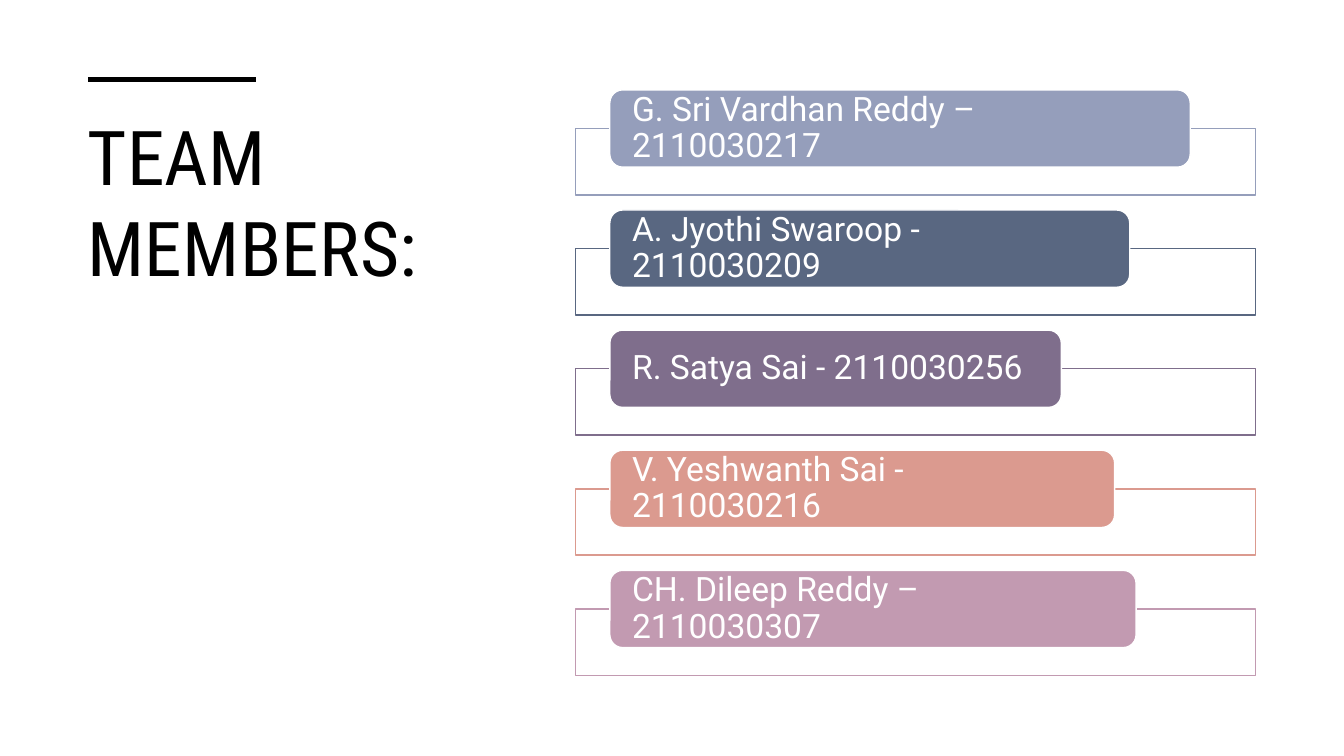
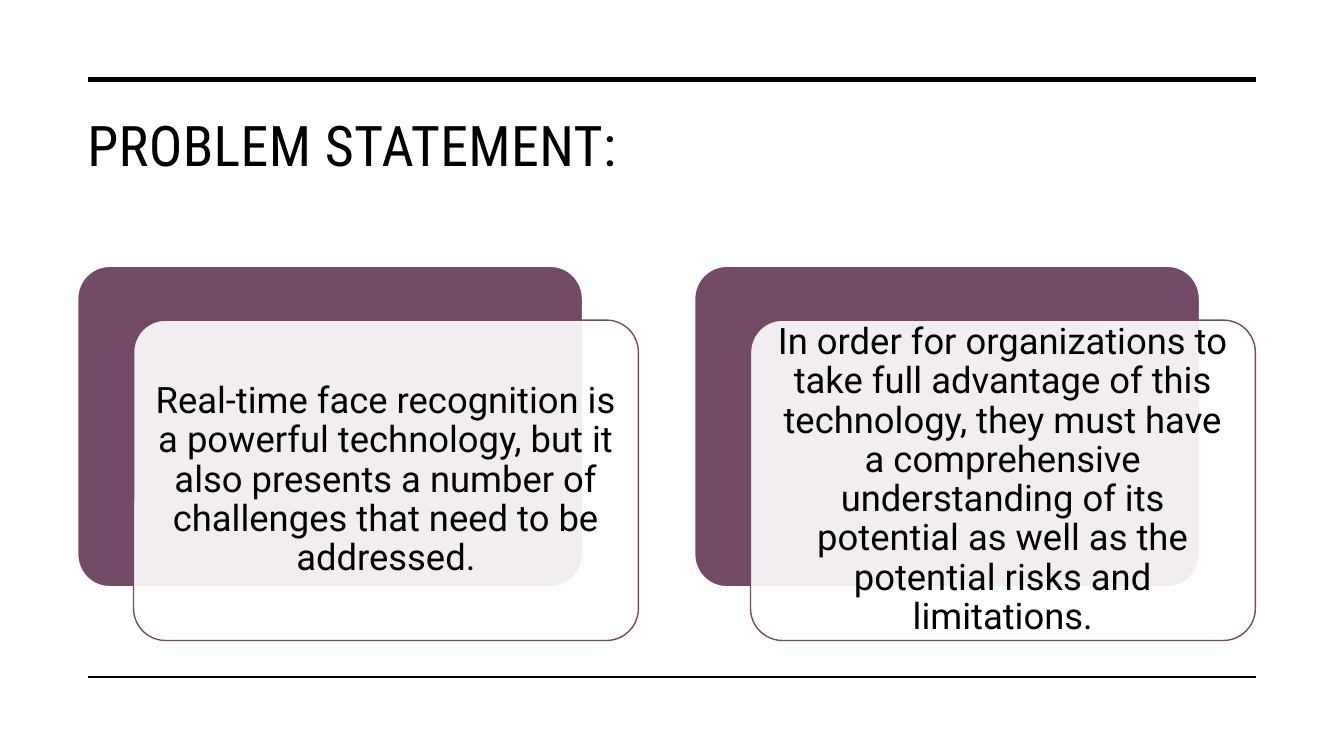
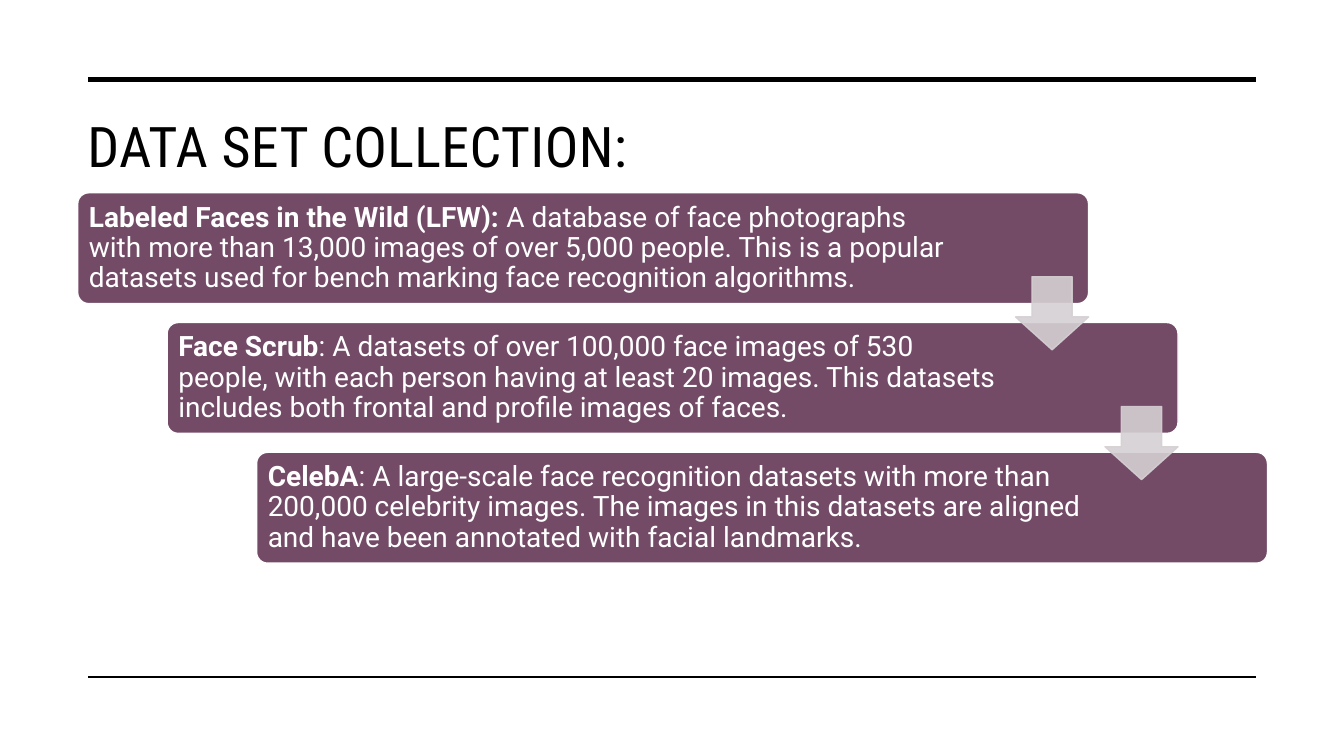
from dataclasses import dataclass
from typing import Optional

from lxml.etree import SubElement
from pptx import Presentation
from pptx.dml.color import RGBColor
from pptx.dml.fill import FillFormat
from pptx.enum.shapes import MSO_CONNECTOR, MSO_SHAPE
from pptx.enum.text import MSO_ANCHOR, MSO_AUTO_SIZE, PP_ALIGN
from pptx.oxml.ns import qn
from pptx.shapes.autoshape import Shape
from pptx.slide import Slide
from pptx.text.text import TextFrame
from pptx.util import Emu, Inches, Pt

COLUMNS, ROWS = 32, 18
CELL = Inches(7.5) / ROWS
TITLE_ONLY = 5


@dataclass(frozen=True)
class Theme:
    """Colours, fonts and type sizes shared by all slides."""
    ink: str = "000000"
    paper: str = "FFFFFF"
    plum: str = "734B67"
    arrow: str = "D5D0D3"
    title_font: str = "Roboto Condensed"
    body_font: str = "Roboto"
    cover_title: float = 54
    title: float = 40
    statement: float = 26
    member: float = 24
    dataset: float = 20
    title_tracking: int = 30
    line_spacing: float = 0.9
    outline: float = 1
    top_rule: float = 3.5
    opacity: int = 90


THEME = Theme()


@dataclass(frozen=True)
class Box:
    """A rectangle measured in grid columns and rows."""
    left: float
    top: float
    width: float
    height: float

    def moved(self, columns: float, rows: float) -> "Box":
        """Return the same box shifted across the grid."""
        return Box(self.left + columns, self.top + rows, self.width, self.height)


@dataclass(frozen=True)
class Member:
    """A team member's label with its colour and pill width."""
    label: str
    color: str
    width: float


@dataclass(frozen=True)
class Dataset:
    """A data set's bold name, description and right inset."""
    name: str
    description: str
    right_inset: float


RULE_LEFT, RULE_RIGHT = 2.1, 29.9
TOP_RULE, BOTTOM_RULE = 1.9, 16.12

MEMBERS = (
    Member("G. Sri Vardhan Reddy – 2110030217", "959EBB", 13.82),
    Member("A. Jyothi Swaroop - 2110030209", "596781", 12.38),
    Member("R. Satya Sai - 2110030256", "7F6E8C", 10.75),
    Member("V. Yeshwanth Sai - 2110030216", "DB9A8F", 12.02),
    Member("CH. Dileep Reddy – 2110030307", "C29AB1", 12.53),
)
STATEMENTS = (
    "Real-time face recognition is a powerful technology, but it also presents "
    "a number of challenges that need to be addressed.",
    "In order for organizations to take full advantage of this technology, they "
    "must have a comprehensive understanding of its potential as well as the "
    "potential risks and limitations.",
)
DATASETS = (
    Dataset("Labeled Faces in the Wild (LFW): ",
            "A database of face photographs with more than 13,000 images of over "
            "5,000 people. This is a popular datasets used for bench marking face "
            "recognition algorithms.", 2.9),
    Dataset("Face Scrub",
            ": A datasets of over 100,000 face images of 530 people, with each "
            "person having at least 20 images. This datasets includes both frontal "
            "and profile images of faces.", 4.06),
    Dataset("CelebA",
            ": A large-scale face recognition datasets with more than 200,000 "
            "celebrity images. The images in this datasets are aligned and have "
            "been annotated with facial landmarks.", 4.06),
)


def cells(count: float) -> Emu:
    """Convert grid cells to a length."""
    return Emu(round(count * CELL))


def paint(fill: FillFormat, color: str, opacity: int = 100) -> None:
    """Apply a solid colour, optionally translucent."""
    fill.solid()
    fill.fore_color.rgb = RGBColor.from_string(color)
    if opacity < 100:
        for rgb in fill._xPr.iter(qn("a:srgbClr")):
            SubElement(rgb, qn("a:alpha")).set("val", str(opacity * 1000))


def place(shape: Shape, box: Box) -> None:
    """Move a shape to its grid box."""
    shape.left, shape.top = cells(box.left), cells(box.top)
    shape.width, shape.height = cells(box.width), cells(box.height)


def write(frame: TextFrame, *pieces: tuple[str, bool], size: float, color: str,
          font: str = THEME.body_font, spacing: float = THEME.line_spacing,
          align: PP_ALIGN = PP_ALIGN.LEFT, anchor: MSO_ANCHOR = MSO_ANCHOR.MIDDLE,
          insets: tuple[float, float, float, float] = (0, 0, 0, 0),
          tracking: Optional[int] = None) -> None:
    """Write one paragraph of (text, bold) pieces with the given format."""
    frame.word_wrap = True
    frame.auto_size = MSO_AUTO_SIZE.NONE
    frame.vertical_anchor = anchor
    (frame.margin_left, frame.margin_top,
     frame.margin_right, frame.margin_bottom) = map(cells, insets)
    paragraph = frame.paragraphs[0]
    paragraph.alignment = align
    paragraph.line_spacing = spacing
    for text, bold in pieces:
        run = paragraph.add_run()
        run.text = text
        run.font.name = font
        run.font.size = Pt(size)
        run.font.bold = bold
        run.font.color.rgb = RGBColor.from_string(color)
        if tracking is not None:
            run.font._element.set("spc", str(tracking))


def add_panel(slide: Slide, kind: MSO_SHAPE, box: Box, fill: str, line: str,
              opacity: int = 100, line_opacity: int = 100,
              adjustments: tuple[float, ...] = ()) -> Shape:
    """Draw a filled, outlined preset shape without a shadow."""
    shape = slide.shapes.add_shape(kind, 0, 0, 0, 0)
    place(shape, box)
    shape.shadow.inherit = False
    for index, value in enumerate(adjustments):
        shape.adjustments[index] = value
    paint(shape.fill, fill, opacity)
    shape.line.width = Pt(THEME.outline)
    paint(shape.line.fill, line, line_opacity)
    return shape


def add_rule(slide: Slide, row: float, right: float, weight: float) -> None:
    """Draw a horizontal rule from the left margin."""
    rule = slide.shapes.add_connector(
        MSO_CONNECTOR.STRAIGHT, cells(RULE_LEFT), cells(row), cells(right), cells(row))
    rule.line.width = Pt(weight)
    paint(rule.line.fill, THEME.ink)
    SubElement(rule._element.spPr, qn("a:effectLst"))


def add_titled_slide(presentation: Presentation, title: str, box: Box,
                     size: float = THEME.title, rule_right: float = RULE_RIGHT,
                     closing_rule: bool = True) -> Slide:
    """Add a slide with its title and rules."""
    slide = presentation.slides.add_slide(presentation.slide_layouts[TITLE_ONLY])
    place(slide.shapes.title, box)
    write(slide.shapes.title.text_frame, (title, False), size=size, color=THEME.ink,
          font=THEME.title_font, spacing=1.0, anchor=MSO_ANCHOR.TOP,
          insets=(0.24, 0.24, 0.24, 0.12), tracking=THEME.title_tracking)
    add_rule(slide, TOP_RULE, rule_right, THEME.top_rule)
    if closing_rule:
        add_rule(slide, BOTTOM_RULE, RULE_RIGHT, THEME.outline)
    return slide


def build_team(presentation: Presentation) -> None:
    """Build the list of team members."""
    slide = add_titled_slide(presentation, "TEAM MEMBERS:", Box(1.84, 2.38, 10.27, 10.44),
                             size=THEME.cover_title, rule_right=6.1, closing_rule=False)
    row_pitch = 2.86
    for index, member in enumerate(MEMBERS):
        drop = index * row_pitch
        add_panel(slide, MSO_SHAPE.RECTANGLE, Box(13.7, 3.06 + drop, 16.2, 1.58),
                  THEME.paper, member.color, opacity=THEME.opacity)
        pill = add_panel(slide, MSO_SHAPE.ROUNDED_RECTANGLE,
                         Box(14.52, 2.14 + drop, member.width, 1.84),
                         member.color, THEME.paper)
        write(pill.text_frame, (member.label, False), size=THEME.member,
              color=THEME.paper, insets=(0.44, 0, 0.44, 0))


def build_problem(presentation: Presentation) -> None:
    """Build the pair of overlapping statement cards."""
    slide = add_titled_slide(presentation, "PROBLEM STATEMENT:", Box(1.84, 2.38, 28.06, 3.02))
    first_card = Box(1.85, 6.34, 12.02, 7.63)
    card_pitch = 14.69
    for index, statement in enumerate(STATEMENTS):
        back = first_card.moved(index * card_pitch, 0)
        add_panel(slide, MSO_SHAPE.ROUNDED_RECTANGLE, back, THEME.plum, THEME.paper,
                  adjustments=(0.1,))
        card = add_panel(slide, MSO_SHAPE.ROUNDED_RECTANGLE, back.moved(1.33, 1.28),
                         THEME.paper, THEME.plum, opacity=THEME.opacity,
                         adjustments=(0.1,))
        write(card.text_frame, (statement, False), size=THEME.statement, color=THEME.ink,
              align=PP_ALIGN.CENTER, insets=(0.26,) * 4)


def build_datasets(presentation: Presentation) -> None:
    """Build the staircase of data sets joined by arrows."""
    slide = add_titled_slide(presentation, "DATA SET COLLECTION:", Box(1.84, 2.42, 28.06, 3.6))
    first_band, first_arrow = Box(1.85, 4.59, 24.07, 2.64), Box(24.18, 6.59, 1.74, 1.74)
    steps = [(index * 2.13, index * 3.09) for index in range(len(DATASETS))]
    for dataset, step in zip(DATASETS, steps):
        band = add_panel(slide, MSO_SHAPE.ROUNDED_RECTANGLE, first_band.moved(*step),
                         THEME.plum, THEME.paper, adjustments=(0.1,))
        write(band.text_frame, (dataset.name, True), (dataset.description, False),
              size=THEME.dataset, color=THEME.paper,
              insets=(0.19, 0.19, dataset.right_inset, 0.19))
    for step in steps[:-1]:
        add_panel(slide, MSO_SHAPE.DOWN_ARROW, first_arrow.moved(*step), THEME.arrow,
                  THEME.arrow, opacity=THEME.opacity, line_opacity=THEME.opacity,
                  adjustments=(0.55, 0.45))


def main() -> None:
    """Build and save the presentation."""
    presentation = Presentation()
    presentation.slide_width, presentation.slide_height = cells(COLUMNS), cells(ROWS)
    build_team(presentation)
    build_problem(presentation)
    build_datasets(presentation)
    presentation.save("out.pptx")


main()
